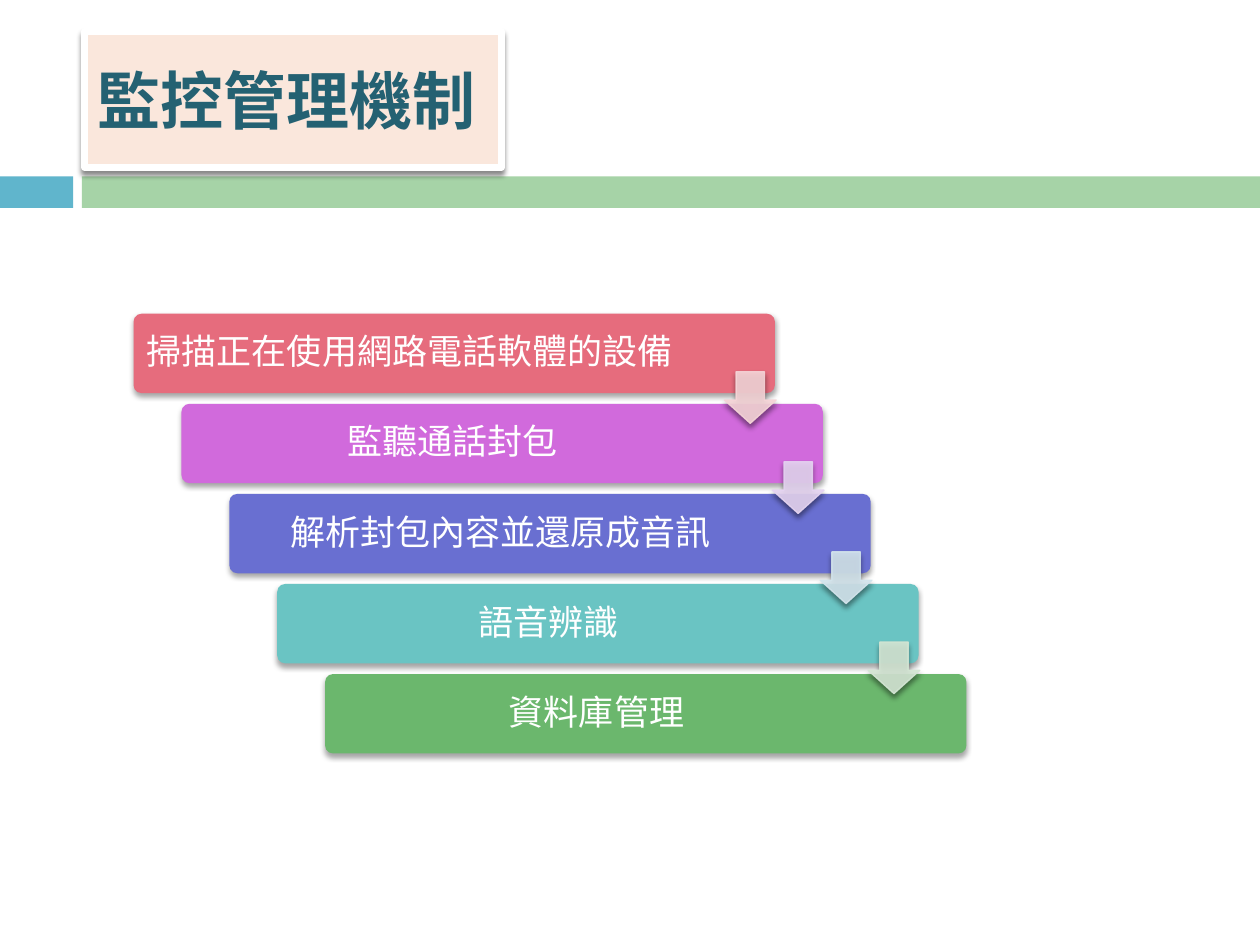
import pptx
import pptx.util
import pptx.dml.color
import pptx.enum.shapes
import pptx.enum.text
import pptx.oxml
import pptx.oxml.ns
import lxml.etree

Inches = pptx.util.Inches
Pt = pptx.util.Pt
RGBColor = pptx.dml.color.RGBColor
ShapeType = pptx.enum.shapes.MSO_SHAPE
Align = pptx.enum.text.PP_ALIGN
Anchor = pptx.enum.text.MSO_ANCHOR
qn = pptx.oxml.ns.qn

FONT = "Calibri"
WHITE = RGBColor(0xFF, 0xFF, 0xFF)
TITLE_FILL = RGBColor(0xFA, 0xE7, 0xDC)
TITLE_TEXT = RGBColor(0x24, 0x61, 0x72)
BAND_BLUE = RGBColor(0x60, 0xB5, 0xCC)
BAND_GREEN = RGBColor(0xA6, 0xD3, 0xA7)
ROSE = RGBColor(0xE6, 0x6C, 0x7D)
ORCHID = RGBColor(0xD1, 0x6A, 0xDC)
INDIGO = RGBColor(0x69, 0x6F, 0xD1)
TEAL = RGBColor(0x6A, 0xC4, 0xC3)
GREEN = RGBColor(0x6B, 0xB7, 0x6D)
PALE_ROSE = RGBColor(0xF5, 0xD4, 0xD7)
PALE_ORCHID = RGBColor(0xE5, 0xD4, 0xF1)
PALE_BLUE = RGBColor(0xD3, 0xE4, 0xEC)
PALE_GREEN = RGBColor(0xD4, 0xE6, 0xD4)

STEPS = [
    ("掃描正在使用網路電話軟體的設備", ROSE),
    ("監聽通話封包", ORCHID),
    ("解析封包內容並還原成音訊", INDIGO),
    ("語音辨識", TEAL),
    ("資料庫管理", GREEN),
]
ARROW_COLORS = [PALE_ROSE, PALE_ORCHID, PALE_BLUE, PALE_GREEN]


def add_shadow(shape, opacity, distance):
    shape.shadow.inherit = False
    effects = shape._element.spPr.find(qn("a:effectLst"))
    shadow = lxml.etree.SubElement(
        effects, qn("a:outerShdw"), blurRad=str(Pt(3)), dist=str(Pt(distance)),
        dir="5400000", rotWithShape="0")
    color = lxml.etree.SubElement(shadow, qn("a:srgbClr"), val="000000")
    lxml.etree.SubElement(color, qn("a:alpha"), val=str(opacity * 1000))


def add_filled_shape(shapes, kind, left, top, width, height, color):
    shape = shapes.add_shape(kind, Inches(left), Inches(top), Inches(width), Inches(height))
    shape.shadow.inherit = False
    shape.fill.solid()
    shape.fill.fore_color.rgb = color
    shape.line.fill.background()
    return shape


def format_text(shape, text, size, color, alignment, bold=False):
    frame = shape.text_frame
    frame.text = text
    frame.word_wrap = True
    frame.vertical_anchor = Anchor.MIDDLE
    paragraph = frame.paragraphs[0]
    paragraph.alignment = alignment
    font = paragraph.runs[0].font
    font.name, font.size, font.bold = FONT, Pt(size), bold
    font.color.rgb = color
    return paragraph


def add_band(slide, left, top, width, height):
    square, gap = 0.58, 0.07
    strip_left = square + gap
    for offset, part_width, color in (
            (0, square, BAND_BLUE), (strip_left, width - strip_left, BAND_GREEN)):
        part = add_filled_shape(slide.shapes, ShapeType.RECTANGLE,
                                left + offset, top, part_width, height, color)
        slide.shapes.title._element.addprevious(part._element)


def place_title(slide, left, top, width, height):
    title = slide.shapes.title
    title.left, title.top = Inches(left), Inches(top)
    title.width, title.height = Inches(width), Inches(height)
    title.fill.solid()
    title.fill.fore_color.rgb = TITLE_FILL
    title.line.color.rgb = WHITE
    title.line.width = Pt(3.75)
    add_shadow(title, 45, 2.4)
    format_text(title, "監控管理機制", 36, TITLE_TEXT, Align.JUSTIFY, bold=True)


def add_step(shapes, left, top, width, height, text, color, label_width, alignment):
    bar = add_filled_shape(shapes, ShapeType.ROUNDED_RECTANGLE, left, top, width, height, color)
    bar.adjustments[0] = 0.1
    add_shadow(bar, 35, 2)
    margin = 0.02
    label = shapes.add_textbox(Inches(left + margin), Inches(top + margin),
                               Inches(label_width), Inches(height - 2 * margin))
    frame = label.text_frame
    frame.margin_left = frame.margin_right = Inches(0.08)
    frame.margin_top = frame.margin_bottom = Inches(0.08)
    format_text(label, text, 20, WHITE, alignment).line_spacing = 0.9


def add_arrow(shapes, left, top, size, color):
    arrow = add_filled_shape(shapes, ShapeType.DOWN_ARROW, left, top, size, size, color)
    arrow.adjustments[0] = 0.55
    arrow.adjustments[1] = 0.45
    arrow.line.color.rgb = color
    arrow.line.width = Pt(0.79)
    for color_element in arrow._element.spPr.iter(qn("a:srgbClr")):
        lxml.etree.SubElement(color_element, qn("a:alpha"), val="90000")
    add_shadow(arrow, 45, 2.4)


def add_staircase(slide, left, top, width, height):
    shapes = slide.shapes.add_group_shape().shapes
    bar_width, bar_height, arrow_size = 5.09, 0.63, 0.41
    step_x = (width - bar_width) / (len(STEPS) - 1)
    step_y = (height - bar_height) / (len(STEPS) - 1)
    for index, (text, color) in enumerate(STEPS):
        label_width, alignment = (4.27, Align.CENTER) if index else (4.34, Align.RIGHT)
        add_step(shapes, left + index * step_x, top + index * step_y,
                 bar_width, bar_height, text, color, label_width, alignment)
    for index, color in enumerate(ARROW_COLORS):
        add_arrow(shapes, left + bar_width - 0.4 + index * step_x,
                  top + 0.46 + index * step_y, arrow_size, color)


def main():
    presentation = pptx.Presentation()
    presentation.slide_width = Inches(10)
    presentation.slide_height = Inches(7.5)
    slide = presentation.slides.add_slide(presentation.slide_layouts.get_by_name("Title Only"))
    add_band(slide, 0, 1.4, 10, 0.25)
    place_title(slide, 0.67, 0.25, 3.31, 1.08)
    add_staircase(slide, 1.06, 2.49, 6.61, 3.49)
    presentation.save("out.pptx")


if __name__ == "__main__":
    main()
